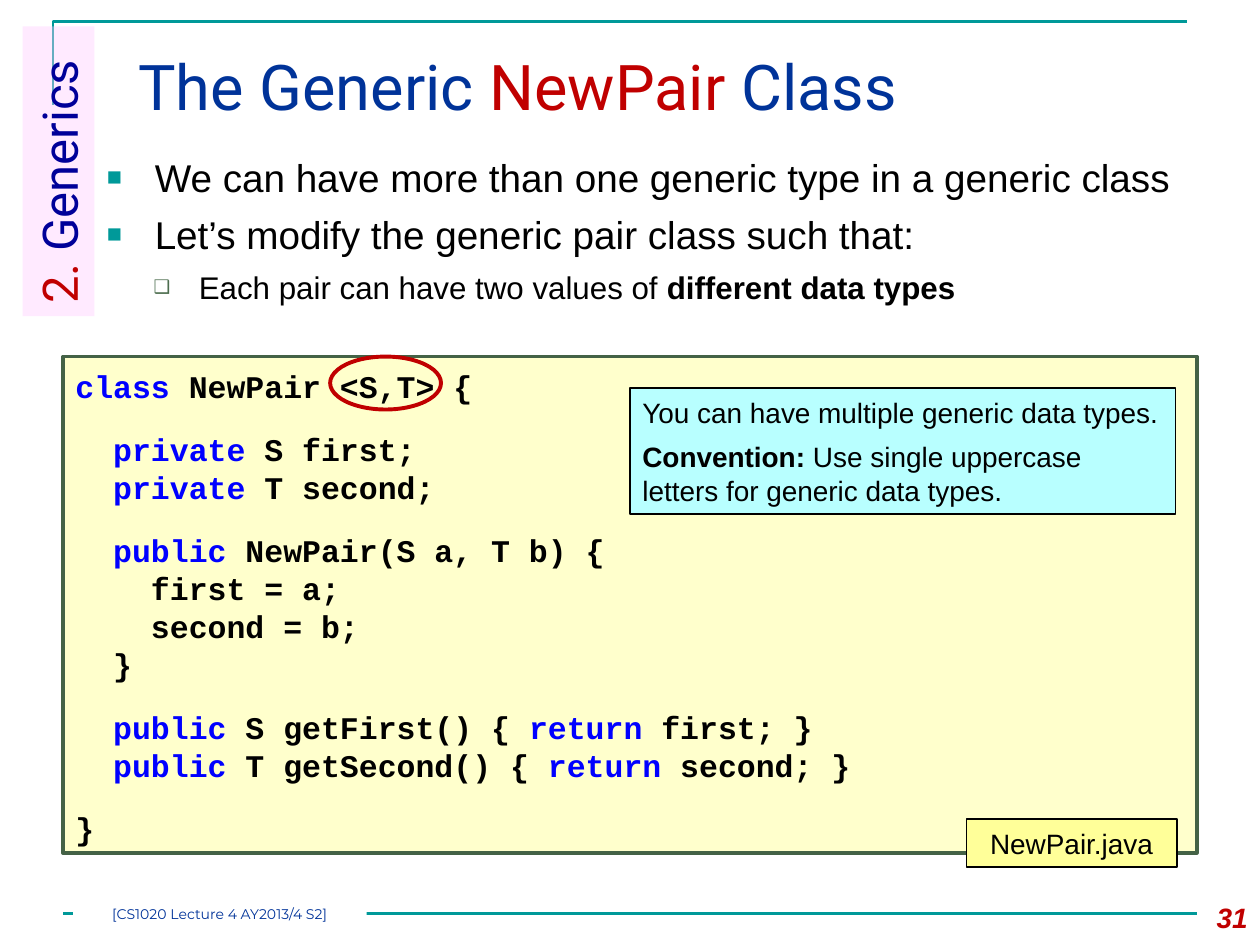
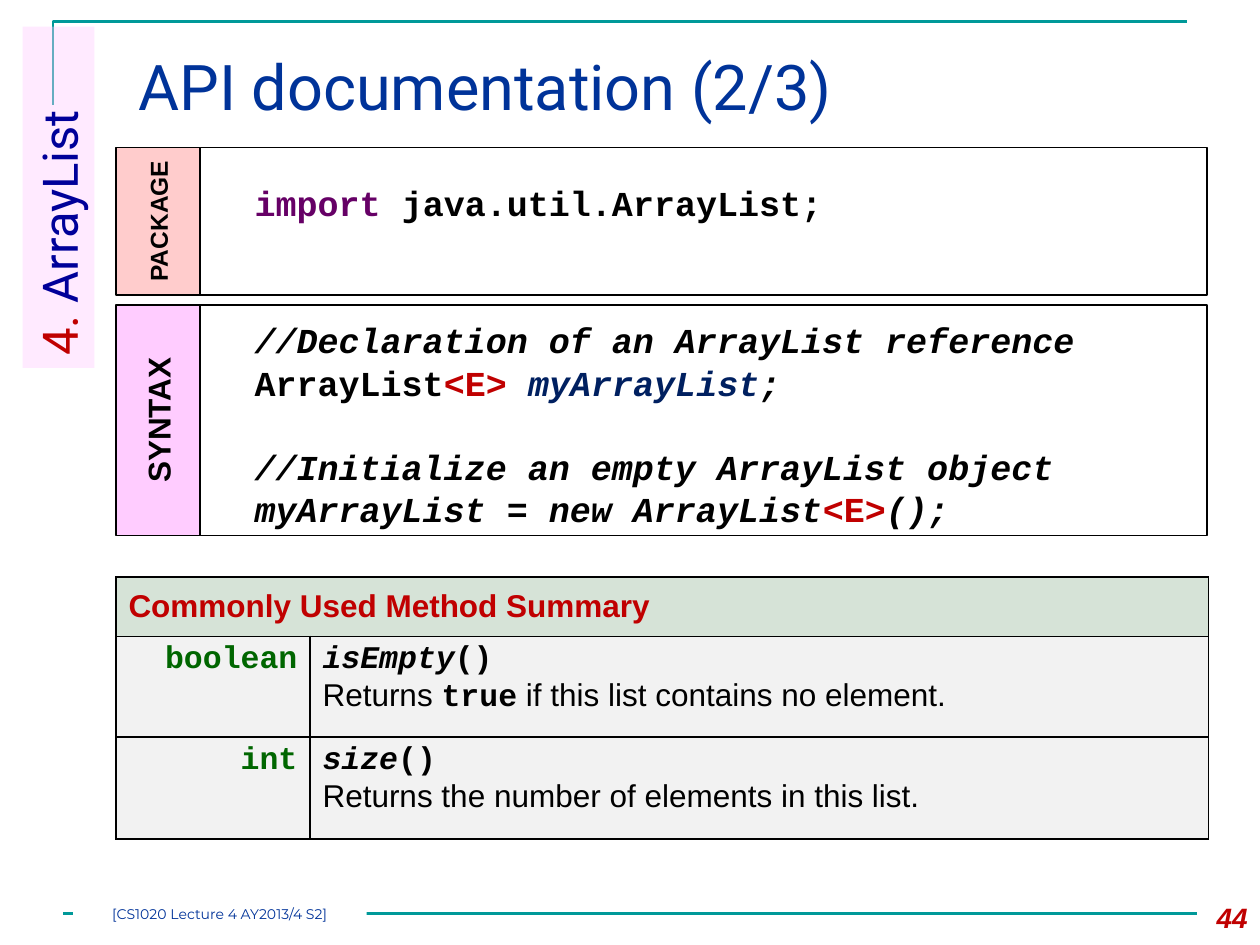
from pptx import Presentation
from pptx.dml.color import RGBColor
from pptx.enum.shapes import MSO_CONNECTOR, MSO_SHAPE
from pptx.enum.text import MSO_ANCHOR, PP_ALIGN
from pptx.oxml.ns import qn
from pptx.util import Inches, Pt
from lxml.etree import SubElement

BLACK = RGBColor(0x00, 0x00, 0x00)
WHITE = RGBColor(0xFF, 0xFF, 0xFF)
TEAL = RGBColor(0x00, 0x99, 0x99)
NAVY = RGBColor(0x00, 0x33, 0x99)
RED = RGBColor(0xC0, 0x00, 0x00)
SECTION_BLUE = RGBColor(0x00, 0x00, 0x99)
KEYWORD_BLUE = RGBColor(0x00, 0x00, 0xFF)
IMPORT_PURPLE = RGBColor(0x66, 0x00, 0x66)
VARIABLE_BLUE = RGBColor(0x00, 0x20, 0x60)
TYPE_GREEN = RGBColor(0x00, 0x66, 0x00)
BULLET_GREEN = RGBColor(0x4C, 0x6D, 0x4E)
FRAME_GREEN = RGBColor(0x44, 0x62, 0x46)
CREAM = RGBColor(0xFF, 0xFF, 0xCC)
YELLOW = RGBColor(0xFF, 0xFF, 0x99)
CYAN = RGBColor(0xB8, 0xFF, 0xFF)
PINK = RGBColor(0xFF, 0xCC, 0xFF)
SALMON = RGBColor(0xFF, 0xCC, 0xCC)
HEADER_GREEN = RGBColor(0xD6, 0xE3, 0xD7)
GREY = RGBColor(0xF2, 0xF2, 0xF2)

SANS = dict(name="Arial", size=18, color=BLACK)
MONO = dict(name="Courier New", size=18, color=BLACK, bold=True)
HEADING = dict(name="Roboto", size=36, color=NAVY)
LEADING = 1.206
KEYWORDS = {"class", "private", "public", "return"}


# Text
def write(tf, paras, base, leading=None, **para_format):
    """Fill a text frame; each paragraph is a list of (text, changes) runs."""
    for i, runs in enumerate(paras):
        p = tf.paragraphs[0] if i == 0 else tf.add_paragraph()
        if leading:
            p.line_spacing = Pt(leading * base["size"])
        for key, value in para_format.items():
            setattr(p, key, value)
        for text, changes in runs:
            r = p.add_run()
            r.text = text
            for key, value in {**base, **changes}.items():
                if key == "color":
                    r.font.color.rgb = value
                else:
                    setattr(r.font, key, Pt(value) if key == "size" else value)


def frame(sp, anchor=MSO_ANCHOR.TOP, **margins):
    tf = sp.text_frame
    tf.word_wrap = True
    tf.vertical_anchor = anchor
    for side, value in margins.items():
        setattr(tf, f"margin_{side}", Inches(value))
    return tf


def set_indent(p, left, first=0):
    pPr = p._p.get_or_add_pPr()
    pPr.set("marL", str(Inches(left)))
    pPr.set("indent", str(Inches(first)))
    return pPr


def set_bullet(p, char, color, percent, left, hang):
    pPr = set_indent(p, left, -hang)
    clr = SubElement(pPr, qn("a:buClr"))
    SubElement(clr, qn("a:srgbClr"), val=str(color))
    SubElement(pPr, qn("a:buSzPct"), val=str(percent * 1000))
    SubElement(pPr, qn("a:buFont"), typeface="Arial")
    SubElement(pPr, qn("a:buChar"), char=char)


# Shapes
def text_box(s, box):
    return s.shapes.add_textbox(*map(Inches, box))


def add_box(s, box, fill=None, line=None, width=1, kind=MSO_SHAPE.RECTANGLE):
    sp = s.shapes.add_shape(kind, *map(Inches, box))
    sp.shadow.inherit = False
    if fill is None:
        sp.fill.background()
    else:
        sp.fill.solid()
        sp.fill.fore_color.rgb = fill
    if line is None:
        sp.line.fill.background()
    else:
        sp.line.color.rgb = line
        sp.line.width = Pt(width)
    return sp


def label(s, box, text, fill, size, vertical=False, bold=False):
    sp = add_box(s, box, fill, BLACK)
    tf = frame(sp, MSO_ANCHOR.MIDDLE)
    write(tf, [[(text, {})]], {**SANS, "size": size, "bold": bold},
          alignment=PP_ALIGN.CENTER)
    if vertical:
        tf._txBody.bodyPr.set("vert", "vert270")


# Parts every slide shares
def slide_base(prs, title, number):
    s = prs.slides.add_slide(prs.slide_layouts[6])

    corner = s.shapes.build_freeform(Inches(0.42), Inches(0.83))
    corner.add_line_segments([(Inches(0.42), Inches(0.17)),
                              (Inches(9.42), Inches(0.17))], close=False)
    sp = corner.convert_to_shape()
    sp.shadow.inherit = False
    sp.fill.background()

    rule = s.shapes.add_connector(MSO_CONNECTOR.STRAIGHT, Inches(0.5),
                                  Inches(7.25), Inches(9.5), Inches(7.25))
    SubElement(rule._element.spPr, qn("a:effectLst"))
    for outline in (sp.line, rule.line):
        outline.color.rgb = TEAL
        outline.width = Pt(1.5)

    write(frame(text_box(s, (1, 0.25, 8.5, 0.86)), MSO_ANCHOR.MIDDLE),
          [title], HEADING)
    write(frame(text_box(s, (9.33, 7.1, 0.67, 0.4))), [[(number, {})]],
          dict(name="Arial", size=16, color=RED, bold=True, italic=True),
          alignment=PP_ALIGN.RIGHT)
    footer = add_box(s, (0.58, 7.17, 2.33, 0.17), WHITE)
    write(frame(footer, MSO_ANCHOR.MIDDLE, left=0, top=0, right=0, bottom=0),
          [[("[CS1020 Lecture 4 AY2013/4 S2]", {})]],
          dict(name="Montserrat", size=8, color=NAVY),
          alignment=PP_ALIGN.CENTER)
    return s


def section_band(s, number, name, length):
    """Vertical band whose top edge is fixed and whose length varies."""
    left, top, width = 0.18, 0.21, 0.57
    sp = add_box(s, (left + (width - length) / 2, top + (length - width) / 2,
                     length, width), PINK)
    sp.rotation = 270
    clr = sp._element.spPr.find(qn("a:solidFill"))[0]
    SubElement(clr, qn("a:alpha"), val="40000")
    write(frame(sp), [[(number, {"color": RED}), (f" {name}", {})]],
          dict(name="Roboto", size=28, color=SECTION_BLUE),
          alignment=PP_ALIGN.LEFT)


# Generic class slide
def bullet_list(s, box):
    tf = frame(text_box(s, box))
    small = {"size": 17.9}
    write(tf, [
        [("We can have more than one generic type in a generic class", {})],
        [("Let’s modify the generic pair class such that:", {})],
        [("Each pair can have two values of ", small),
         ("different data types", {**small, "bold": True})],
    ], {**SANS, "size": 22.1}, LEADING, space_before=Pt(6))
    *main, detail = tf.paragraphs
    detail.line_spacing = Pt(LEADING * small["size"])
    for p in main:
        set_bullet(p, "■", TEAL, 65, 0.38, 0.38)
    set_bullet(detail, "❑", BULLET_GREEN, 60, 0.73, 0.36)


def keyword_runs(line):
    words = line.split(" ")
    return [(w + (" " if i < len(words) - 1 else ""),
             {"color": KEYWORD_BLUE} if w in KEYWORDS else {})
            for i, w in enumerate(words)]


def code_panel(s, box):
    left, top, width, height = box
    # groups of (indent level, line of code)
    groups = [
        [(0, "class NewPair <S,T> {")],
        [(1, "private S first;"), (1, "private T second;")],
        [(1, "public NewPair(S a, T b) {"), (2, "first = a;"),
         (2, "second = b;"), (1, "}")],
        [(1, "public S getFirst() { return first; }"),
         (1, "public T getSecond() { return second; }")],
        [(0, "}")],
    ]
    lines = [(level, code, i > 0 and j == 0) for i, group in enumerate(groups)
             for j, (level, code) in enumerate(group)]
    tf = frame(add_box(s, box, CREAM, FRAME_GREEN, 2), top=0.08, bottom=0)
    write(tf, [keyword_runs(code) for _, code, _ in lines], MONO, LEADING,
          alignment=PP_ALIGN.LEFT)
    for p, (level, _, starts_group) in zip(tf.paragraphs, lines):
        set_indent(p, 0.3 * level)
        if starts_group:
            p.space_before = Pt(14.3)

    label(s, (left + 7.17, top + 3.67, 1.67, 0.38), "NewPair.java", YELLOW, 16)
    note = add_box(s, (left + 4.5, top + 0.25, 4.33, 1), CYAN, BLACK)
    write(frame(note, MSO_ANCHOR.MIDDLE), [
        [("You can have multiple generic data types.", {})],
        [("Convention: ", {"bold": True}),
         ("Use single uppercase letters for generic data types.", {})],
    ], {**SANS, "size": 16}, LEADING, space_after=Pt(6),
        alignment=PP_ALIGN.LEFT)
    add_box(s, (left + 2.12, top, 0.88, 0.42), None, RED, 2.25, MSO_SHAPE.OVAL)


def generic_class_slide(prs):
    s = slide_base(prs, [("The Generic ", {}), ("NewPair ", {"color": RED}),
                         ("Class", {})], "31")
    bullet_list(s, (0.75, 1.17, 8.75, 1.33))
    code_panel(s, (0.5, 2.83, 9, 3.94))
    section_band(s, "2.", "Generics", 2.3)


# API documentation slide
def labelled_code(s, box, name, fill, name_size, paras, inset, gap_before=()):
    left, top, width, height = box
    tab = 0.67
    sp = add_box(s, (left + tab, top, width - tab, height), None, BLACK)
    tf = frame(sp, left=0.43, top=inset, bottom=0)
    write(tf, paras, {**MONO, "size": 20}, LEADING, alignment=PP_ALIGN.LEFT)
    for i in gap_before:
        tf.paragraphs[i].space_before = Pt(20 * LEADING)
    label(s, (left, top, tab, height), name, fill, name_size, True, True)


def set_borders(cell):
    tcPr = cell._tc.get_or_add_tcPr()
    for i, edge in enumerate(("lnL", "lnR", "lnT", "lnB")):
        ln = tcPr.makeelement(qn(f"a:{edge}"), {"w": str(Pt(1))})
        solid = SubElement(ln, qn("a:solidFill"))
        SubElement(solid, qn("a:srgbClr"), val=str(BLACK))
        tcPr.insert(i, ln)


def method_table(s, box):
    mono, italic = MONO, {**MONO, "italic": True}
    methods = [
        ("boolean", "isEmpty", [("Returns ", {}), ("true", mono),
                                (" if this list contains no element.", {})]),
        ("int", "size", [("Returns the number of elements in this list.", {})]),
    ]
    table = s.shapes.add_table(3, 2, *map(Inches, box)).table
    table.first_row = table.horz_banding = False
    for col, width in zip(table.columns, (1.54, 7.13)):
        col.width = Inches(width)
    for row, height in zip(table.rows, (0.47, 0.8, 0.81)):
        row.height = Inches(height)
    for i, row in enumerate(table.rows):
        for cell in row.cells:
            cell.fill.solid()
            cell.fill.fore_color.rgb = GREY if i else HEADER_GREEN
            set_borders(cell)

    head = table.cell(0, 0)
    head.merge(table.cell(0, 1))
    head.vertical_anchor = MSO_ANCHOR.MIDDLE
    write(head.text_frame, [[("Commonly Used Method Summary", {})]],
          {**SANS, "color": RED, "bold": True})
    for i, (result, method, summary) in enumerate(methods, 1):
        write(table.cell(i, 0).text_frame, [[(result, {})]],
              {**MONO, "color": TYPE_GREEN}, alignment=PP_ALIGN.RIGHT)
        write(table.cell(i, 1).text_frame,
              [[(method, italic), ("()", mono)], summary], SANS)


def api_slide(prs):
    s = slide_base(prs, [("API documentation (2/3)", {})], "44")
    section_band(s, "4.", "ArrayList", 2.71)
    italic = {"italic": True}
    element = ("<E>", {"color": RED})
    labelled_code(s, (0.92, 2.42, 8.66, 1.83), "SYNTAX", PINK, 18, [
        [("//Declaration of an ArrayList reference", italic)],
        [("ArrayList", {}), element, (" ", {}),
         ("myArrayList", {"color": VARIABLE_BLUE, **italic}), (";", italic)],
        [("//Initialize an empty ArrayList object", italic)],
        [("myArrayList = new ArrayList", italic), element, ("();", italic)],
    ], 0.11, gap_before=[2])
    labelled_code(s, (0.92, 1.17, 8.66, 1.17), "PACKAGE", SALMON, 14, [
        [("import", {"color": IMPORT_PURPLE}), (" java.util.ArrayList;", {})],
    ], 0.27)
    method_table(s, (0.92, 4.58, 8.67, 2.08))


def main():
    prs = Presentation()
    prs.slide_width, prs.slide_height = Inches(10), Inches(7.5)
    generic_class_slide(prs)
    api_slide(prs)
    prs.save("out.pptx")


if __name__ == "__main__":
    main()
